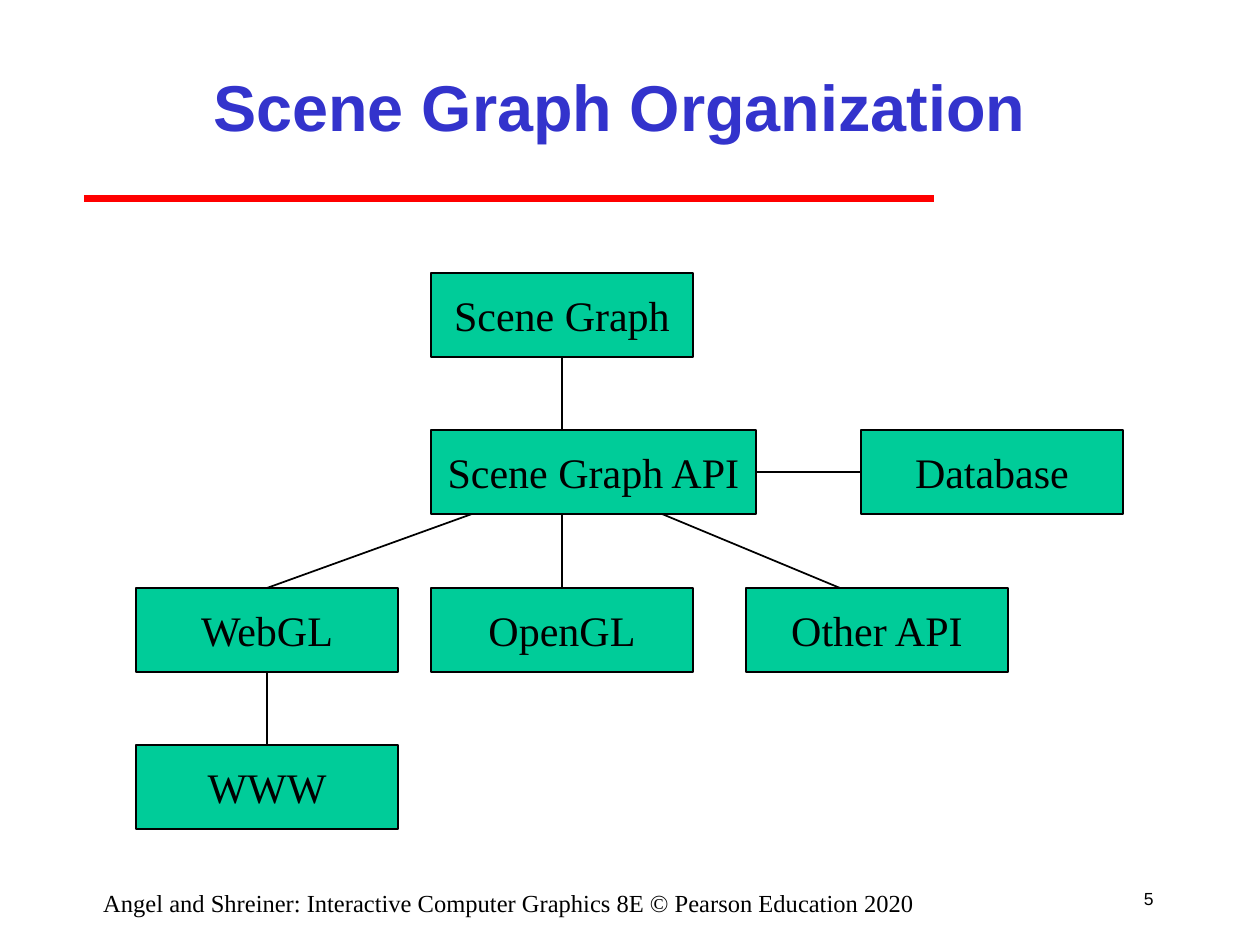
from lxml import etree
from pptx import Presentation
from pptx import util as u
from pptx.dml.color import RGBColor
from pptx.enum import shapes, text
from pptx.oxml.ns import qn

PX = 914400 / 126
SERIF, SANS = "Times New Roman", "Arial"
BLACK, RED, BLUE, GREEN = "000000", "FF0000", "3333CC", "00CC99"
NODE_WIDTH, NODE_HEIGHT = 262, 84
LEFT, MIDDLE, RIGHT, FAR = 136, 431, 746, 861  # left edges of the nodes


def px(length):
    return u.Emu(round(length * PX))


def color(value):
    return RGBColor.from_string(value)


def row_top(row):
    """Rows lie 157.5 px apart."""
    return 273 + row * 315 // 2


def write(shape, words, size, font=SERIF, ink=BLACK, bold=False, wrap=True,
          align=text.PP_ALIGN.CENTER, anchor=text.MSO_ANCHOR.MIDDLE):
    frame = shape.text_frame
    frame.word_wrap = wrap
    frame.vertical_anchor = anchor
    para = frame.paragraphs[0]
    para.alignment = align
    span = para.add_run()
    span.text = words
    span.font.name = font
    span.font.size = u.Pt(size)
    span.font.bold = bold
    span.font.color.rgb = color(ink)


def add_label(page, x, y, width, height, words, size, **style):
    box = page.shapes.add_textbox(px(x), px(y), px(width), px(height))
    write(box, words, size, **style)


def add_node(page, x, row, words, width=NODE_WIDTH):
    node = page.shapes.add_shape(shapes.MSO_SHAPE.RECTANGLE, px(x), px(row_top(row)),
                                 px(width), px(NODE_HEIGHT))
    node.shadow.inherit = False
    node.fill.solid()
    node.fill.fore_color.rgb = color(GREEN)
    node.line.color.rgb = color(BLACK)
    node.line.width = u.Pt(1)
    write(node, words, 24, wrap=False)


def add_line(page, x1, y1, x2, y2, ink=BLACK, weight=1):
    line = page.shapes.add_connector(shapes.MSO_CONNECTOR.STRAIGHT,
                                     px(x1), px(y1), px(x2), px(y2))
    line.line.color.rgb = color(ink)
    line.line.width = u.Pt(weight)
    etree.SubElement(line._element.spPr, qn("a:effectLst"))


def add_diagram(page):
    half = NODE_WIDTH // 2
    api_width = 325
    api_bottom = row_top(1) + NODE_HEIGHT
    api_center = row_top(1) + NODE_HEIGHT // 2

    add_line(page, MIDDLE + half, row_top(0) + NODE_HEIGHT, MIDDLE + half, row_top(2))
    add_line(page, MIDDLE + api_width, api_center, FAR, api_center)
    add_line(page, 472, api_bottom, LEFT + half, row_top(2))
    add_line(page, 662, api_bottom, 840, row_top(2))
    add_line(page, LEFT + half, row_top(2) + NODE_HEIGHT, LEFT + half, row_top(3))

    add_node(page, MIDDLE, 0, "Scene Graph")
    add_node(page, MIDDLE, 1, "Scene Graph API", api_width)
    add_node(page, FAR, 1, "Database")
    add_node(page, LEFT, 2, "WebGL")
    add_node(page, MIDDLE, 2, "OpenGL")
    add_node(page, RIGHT, 2, "Other API")
    add_node(page, LEFT, 3, "WWW")


def main():
    deck = Presentation()
    deck.slide_width, deck.slide_height = px(1260), px(945)
    page = deck.slides.add_slide(deck.slide_layouts[6])

    add_line(page, 84, 199, 934, 199, RED, 4)
    add_label(page, 189, 32, 861, 147, "Scene Graph Organization", 37,
              font=SANS, ink=BLUE, bold=True)
    add_diagram(page)
    add_label(page, 63, 882, 892, 32,
              "Angel and Shreiner: Interactive Computer Graphics 8E © Pearson Education 2020",
              14, anchor=text.MSO_ANCHOR.TOP)
    add_label(page, 1113, 872, 53, 53, "5", 10, font=SANS, align=text.PP_ALIGN.RIGHT)

    deck.save("out.pptx")


if __name__ == "__main__":
    main()
